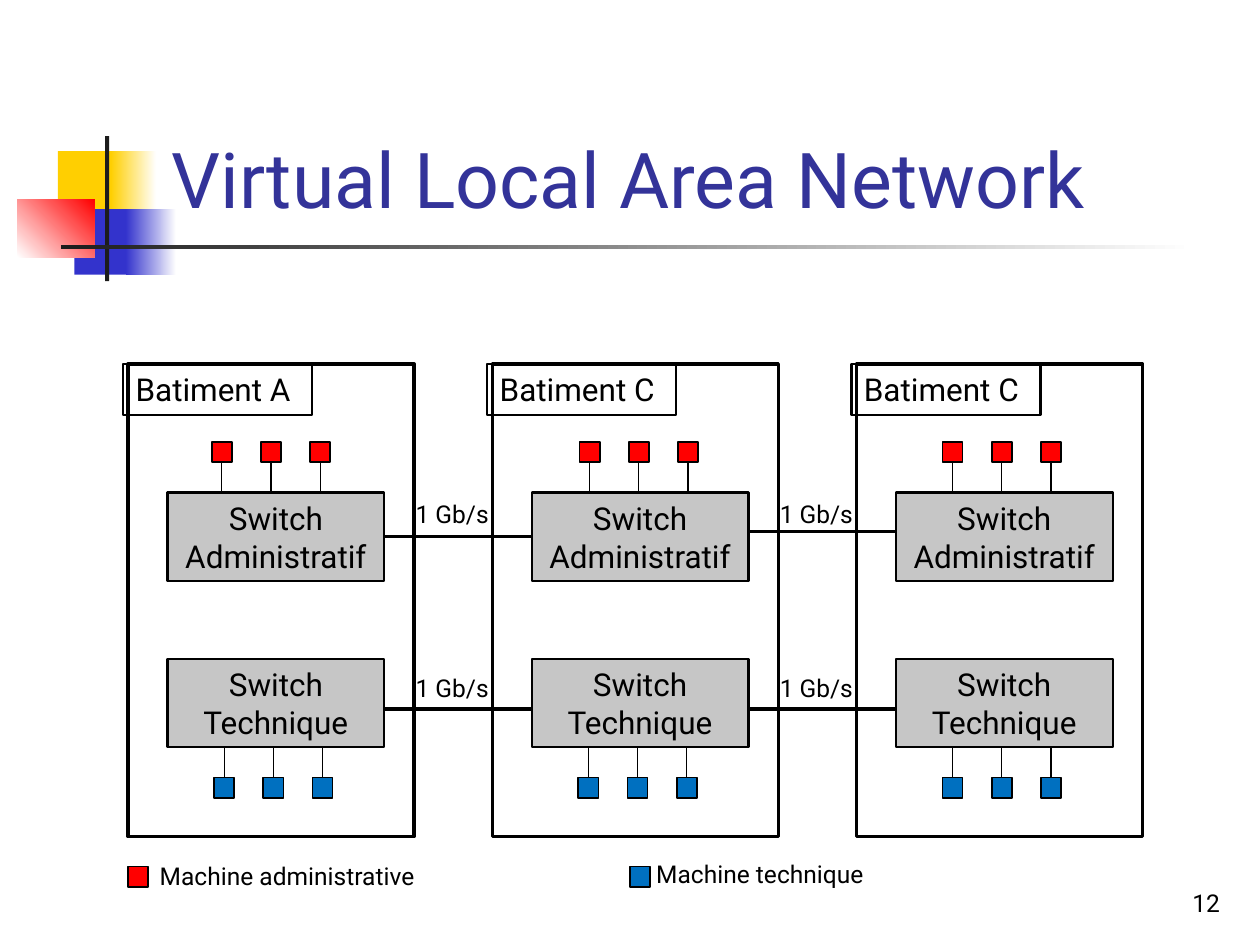
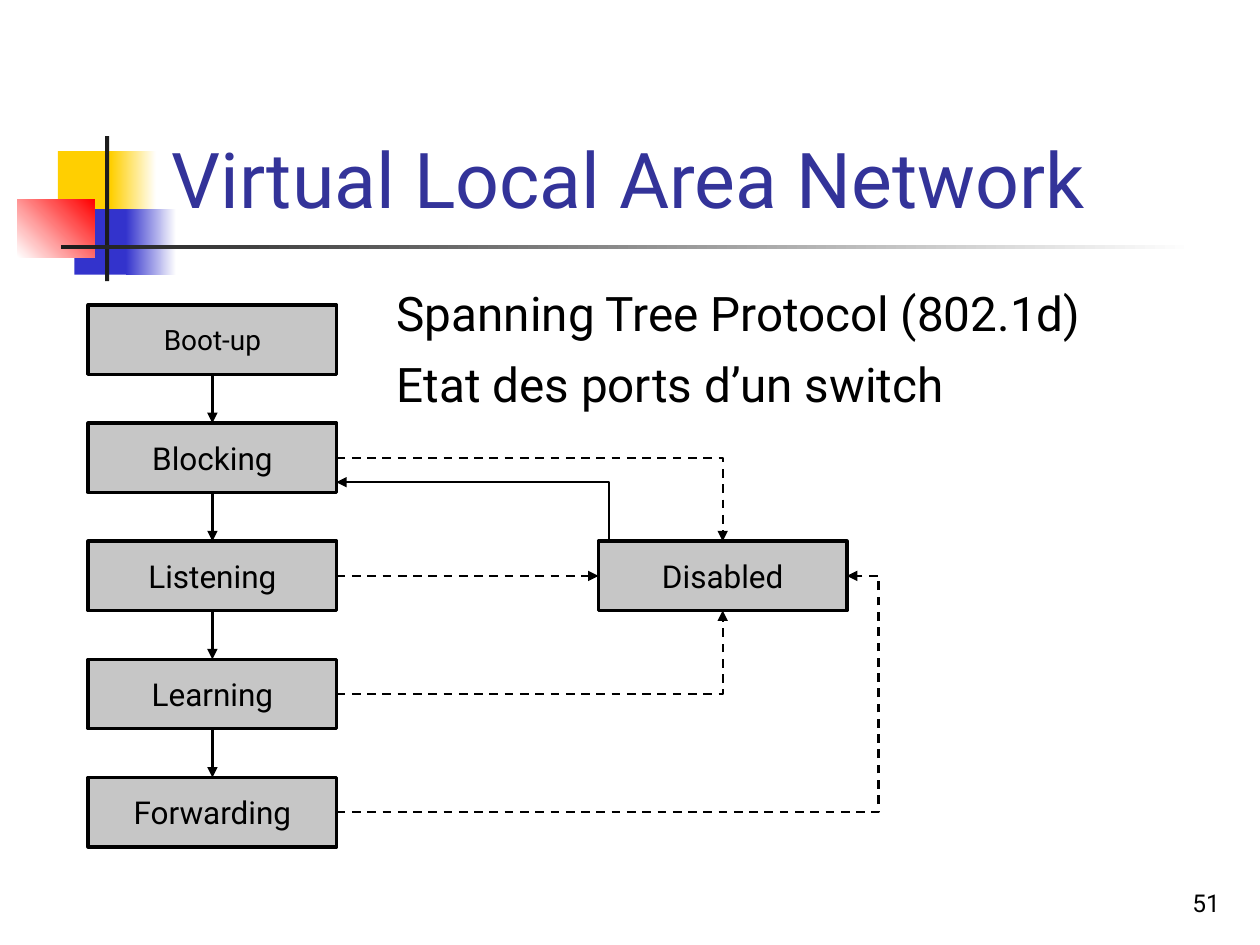
from lxml import etree
from pptx import Presentation
from pptx.dml.color import RGBColor
from pptx.enum.dml import MSO_LINE
from pptx.enum.shapes import MSO_CONNECTOR, MSO_SHAPE
from pptx.enum.text import MSO_ANCHOR, MSO_AUTO_SIZE, PP_ALIGN
from pptx.oxml.ns import qn
from pptx.util import Pt

RECTANGLE = MSO_SHAPE.RECTANGLE
STRAIGHT, ELBOW = MSO_CONNECTOR.STRAIGHT, MSO_CONNECTOR.ELBOW
DASH = MSO_LINE.DASH
LEFT, CENTER, RIGHT = PP_ALIGN.LEFT, PP_ALIGN.CENTER, PP_ALIGN.RIGHT
TOP, MIDDLE, BOTTOM = MSO_ANCHOR.TOP, MSO_ANCHOR.MIDDLE, MSO_ANCHOR.BOTTOM
FIXED, GROW = MSO_AUTO_SIZE.NONE, MSO_AUTO_SIZE.SHAPE_TO_FIT_TEXT
TOP_SIDE, LEFT_SIDE, BOTTOM_SIDE, RIGHT_SIDE = range(4)

FONT = "Roboto"
BLACK, WHITE, GREY = "000000", "FFFFFF", "C6C6C6"
RED, BLUE, TITLE_COLOUR = "FF0000", "0070C0", "333399"
YELLOW, INDIGO, CHARCOAL = "FFCF01", "3333CC", "1C1C1C"

TITLE = "Virtual Local Area Network"
TITLE_AREA = (90.7, 16.6, 613.4, 115.2)
NUMBER_AREA = (554.4, 491.8, 149.8, 36)
EMBLEM = [
    ((33.1, 86.4, 34.6, 37.4), [YELLOW], 0),
    ((63.4, 86.4, 25.9, 37.4), [YELLOW, WHITE], 0),
    ((42.5, 119.5, 33.1, 37.4), [INDIGO], 0),
    ((72, 119.5, 28.8, 37.4), [INDIGO, WHITE], 0),
    ((10, 113.8, 44, 33.1), [WHITE, RED], 45),
    ((60, 77.8, 2.4, 82.8), [CHARCOAL], 0),
    ((34.6, 140, 648, 2.6), [CHARCOAL, WHITE], 0),
]

BUILDINGS = ["Batiment A", "Batiment C", "Batiment C"]
BUILDING_LEFT, BUILDING_TOP, BUILDING_PITCH = 73.3, 208, 208.1
SWITCH_INSET, SWITCH_WIDTH, SWITCH_HEIGHT = 22.4, 123.9, 50.4
MACHINE_SIZE, MACHINE_PITCH = 11.5, 28.1
NETWORKS = [
    {"name": "Switch Administratif", "colour": RED, "switch_top": 281.5, "machine_top": 252.6,
     "machine_lefts": [121, 331.2, 538.6], "link_heights": [306.7, 303.8], "speed_top": 281.5},
    {"name": "Switch Technique", "colour": BLUE, "switch_top": 376.7, "machine_top": 444.4,
     "machine_lefts": [122.4, 330.5, 538.6], "link_heights": [405.1, 405.1], "speed_top": 380.9},
]
SPEED, SPEED_LEFT = "1 Gb/s", 230.4
LEGEND = [
    (RED, 73.3, "Machine administrative", (84.2, 488.2, 169.2, 24.5)),
    (BLUE, 360, "Machine technique", (367.9, 487.6, 140.4, 24.5)),
]
LEGEND_TOP = 495.2

TOPICS = ["Spanning Tree Protocol (802.1d)", "Etat des ports d’un switch"]
TOPICS_AREA = (219.6, 158.5, 483.8, 82.8)
STATES = [("Boot-up", 16), ("Blocking", 18), ("Listening", 18), ("Learning", 18), ("Forwarding", 18)]
STATE_LEFT, STATE_TOP, STATE_PITCH = 50.4, 174.3, 67.5
STATE_SIZE = (142, 39.6)
DISABLED_LEFT, DISABLED_ROW = 342, 2
DISABLING = [
    ("Blocking", TOP_SIDE, "bentConnector2", None),
    ("Listening", LEFT_SIDE, None, None),
    ("Learning", BOTTOM_SIDE, "bentConnector2", None),
    ("Forwarding", RIGHT_SIDE, "bentConnector3", 106200),
]
ENABLING = (348.5, 309.5, 192.2, 275.6)


def rgb(colour):
    return RGBColor.from_string(colour)


def points(values):
    return [Pt(value) for value in values]


def set_all(target, formats):
    for name, value in formats.items():
        setattr(target, name, value)


def write(box, lines, size, colour=BLACK, align=LEFT, space=0, **frame_format):
    frame = box.text_frame
    set_all(frame, {"word_wrap": True, "auto_size": FIXED, "vertical_anchor": TOP} | frame_format)
    for index, line in enumerate(lines):
        para = frame.add_paragraph() if index else frame.paragraphs[0]
        set_all(para, {"alignment": align, "space_before": Pt(space if index else 0)})
        span = para.add_run()
        span.text = line
        set_all(span.font, {"size": Pt(size), "name": FONT})
        span.font.color.rgb = rgb(colour)


def add_text(page, area, lines, size, **formats):
    box = page.shapes.add_textbox(*points(area))
    write(box, lines, size, **formats)


def add_label(page, area, text, size=14):
    add_text(page, area, [text], size, word_wrap=False, auto_size=GROW)


def add_box(page, area, colours=(), line=None, angle=0):
    box = page.shapes.add_shape(RECTANGLE, *points(area))
    box.shadow.inherit = False
    if len(colours) == 2:
        box.fill.gradient()
        box.fill.gradient_angle = angle
        for stop, colour in zip(box.fill.gradient_stops, colours):
            stop.color.rgb = rgb(colour)
    elif colours:
        box.fill.solid()
        box.fill.fore_color.rgb = rgb(colours[0])
    else:
        box.fill.background()
    if line:
        box.line.width = Pt(line)
        box.line.color.rgb = rgb(BLACK)
    else:
        box.line.fill.background()
    return box


def add_node(page, area, text, size, line):
    node = add_box(page, area, [GREY], line)
    write(node, [text], size, align=CENTER, vertical_anchor=MIDDLE)
    return node


def add_line(page, ends=(0, 0, 0, 0), width=1.25, start=None, finish=None,
             bend=None, adjust=None, arrow=False, dash=None):
    line = page.shapes.add_connector(ELBOW if bend else STRAIGHT, *points(ends))
    if start:
        line.begin_connect(*start)
    if finish:
        line.end_connect(*finish)
    set_all(line.line, {"width": Pt(width), "dash_style": dash})
    line.line.color.rgb = rgb(BLACK)
    properties = line._element.spPr
    etree.SubElement(properties, qn("a:effectLst"))
    if arrow:
        etree.SubElement(properties.find(qn("a:ln")), qn("a:tailEnd"), type="triangle")
    if bend:
        geometry = properties.find(qn("a:prstGeom"))
        geometry.set("prst", bend)
        if adjust is not None:
            guides = geometry.find(qn("a:avLst"))
            etree.SubElement(guides, qn("a:gd"), name="adj1", fmla=f"val {adjust}")


def add_page(deck, layout, number):
    page = deck.slides.add_slide(layout)
    title = page.shapes.title
    set_all(title, dict(zip(("left", "top", "width", "height"), points(TITLE_AREA))))
    write(title, [TITLE], 44, TITLE_COLOUR, vertical_anchor=BOTTOM)
    add_text(page, NUMBER_AREA, [number], 14, align=RIGHT, vertical_anchor=BOTTOM)
    return page


def move_emblem_to_layout(page, layout):
    for position, (area, colours, angle) in enumerate(EMBLEM, start=2):
        box = add_box(page, area, colours, angle=angle)
        layout.shapes._spTree.insert(position, box._element)


def add_machine(page, left, top, colour):
    add_box(page, (left, top, MACHINE_SIZE, MACHINE_SIZE), [colour], 1)


def draw_network(page, network, building_lefts):
    top, middle = network["switch_top"], network["switch_top"] + SWITCH_HEIGHT / 2
    machine_top = network["machine_top"]
    if machine_top < top:
        cable = (machine_top + MACHINE_SIZE, top)
    else:
        cable = (machine_top, top + SWITCH_HEIGHT)
    switches = []
    for building_left, first_left in zip(building_lefts, network["machine_lefts"]):
        area = (building_left + SWITCH_INSET, top, SWITCH_WIDTH, SWITCH_HEIGHT)
        switches.append(add_node(page, area, network["name"], 18, 1.25))
        for index in range(3):
            left = first_left + index * MACHINE_PITCH
            add_machine(page, left, machine_top, network["colour"])
            center = left + MACHINE_SIZE / 2
            add_line(page, (center, cable[0], center, cable[1]), 0.75)
    for index, height in enumerate(network["link_heights"]):
        begin = building_lefts[index] + SWITCH_INSET + SWITCH_WIDTH
        finish = building_lefts[index + 1] + SWITCH_INSET
        joints = {}
        if abs(height - middle) < 0.1:
            joints = {"start": (switches[index], RIGHT_SIDE), "finish": (switches[index + 1], LEFT_SIDE)}
        add_line(page, (begin, height, finish, height), 2, **joints)
        add_label(page, (SPEED_LEFT + index * BUILDING_PITCH, network["speed_top"], 56.9, 24.5), SPEED)


def draw_buildings(page):
    lefts = [BUILDING_LEFT + index * BUILDING_PITCH for index in range(len(BUILDINGS))]
    for left, name in zip(lefts, BUILDINGS):
        add_box(page, (left, BUILDING_TOP, 163.4, 270), line=2)
        plate = add_box(page, (left - 2.9, BUILDING_TOP, 108, 29.1), line=1.25)
        write(plate, [name], 18, word_wrap=False, auto_size=GROW)
    for network in NETWORKS:
        draw_network(page, network, lefts)
    for colour, left, text, area in LEGEND:
        add_machine(page, left, LEGEND_TOP, colour)
        add_label(page, area, text)


def draw_port_states(page):
    add_text(page, TOPICS_AREA, TOPICS, 27.2, space=8)
    nodes = {}
    for index, (name, size) in enumerate(STATES):
        area = (STATE_LEFT, STATE_TOP + index * STATE_PITCH, *STATE_SIZE)
        nodes[name] = add_node(page, area, name, size, 2)
    area = (DISABLED_LEFT, STATE_TOP + DISABLED_ROW * STATE_PITCH, *STATE_SIZE)
    disabled = add_node(page, area, "Disabled", 18, 2)
    chain = list(nodes.values())
    for upper, lower in zip(chain, chain[1:]):
        add_line(page, start=(upper, BOTTOM_SIDE), finish=(lower, TOP_SIDE), arrow=True)
    for name, side, bend, adjust in DISABLING:
        add_line(page, start=(nodes[name], RIGHT_SIDE), finish=(disabled, side),
                 bend=bend, adjust=adjust, arrow=True, dash=DASH)
    add_line(page, ENABLING, bend="bentConnector3", adjust=200, arrow=True)


def main():
    deck = Presentation()
    deck.slide_width, deck.slide_height = points((720, 540))
    layout = deck.slide_layouts[5]
    network_page = add_page(deck, layout, "12")
    move_emblem_to_layout(network_page, layout)
    draw_buildings(network_page)
    draw_port_states(add_page(deck, layout, "51"))
    deck.save("out.pptx")


if __name__ == "__main__":
    main()
